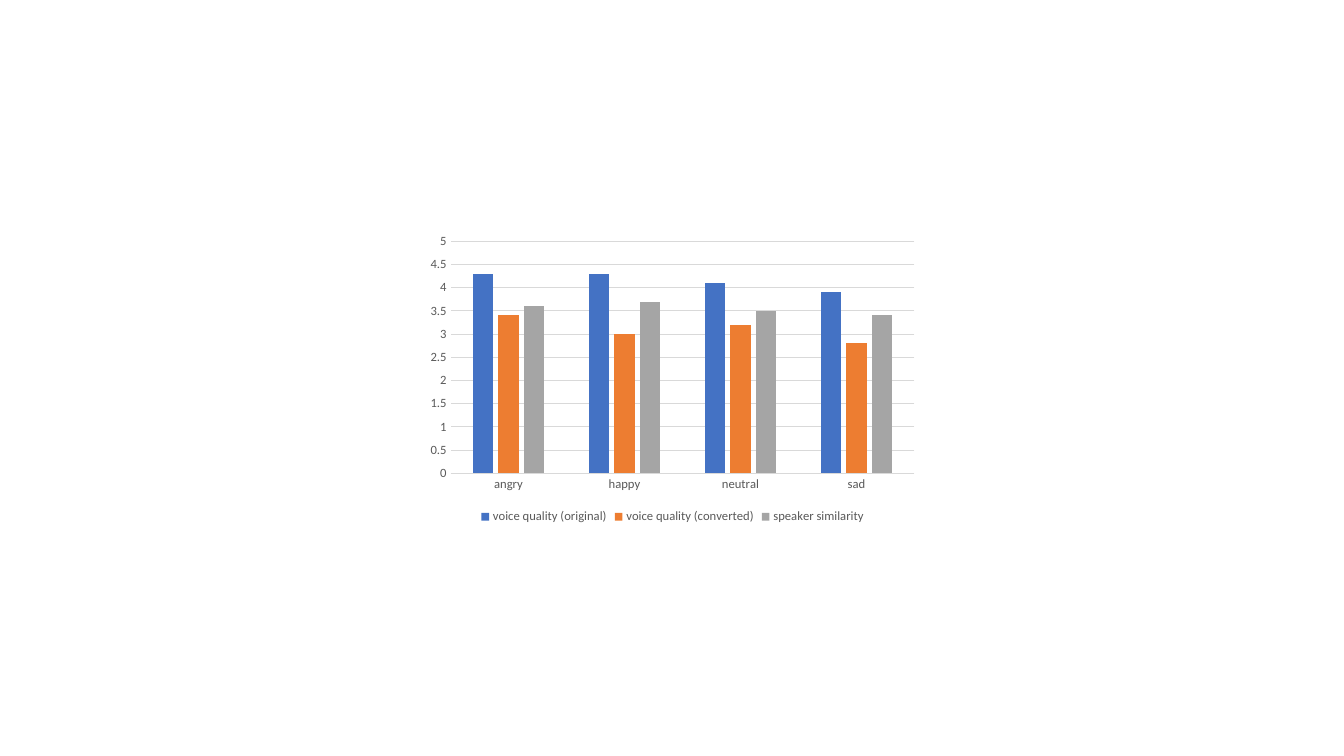
"""Build a slide with a clustered column chart of voice ratings by emotion."""
from pptx import Presentation
from pptx.chart.data import CategoryChartData
from pptx.dml.color import RGBColor
from pptx.enum.chart import XL_CHART_TYPE, XL_LEGEND_POSITION, XL_TICK_MARK
from pptx.util import Inches, Pt

EMOTIONS = ["angry", "happy", "neutral", "sad"]
RATINGS = [
    ("voice quality (original)", "blue", (4.3, 4.3, 4.1, 3.9)),
    ("voice quality (converted)", "orange", (3.4, 3, 3.2, 2.8)),
    ("speaker similarity", "gray", (3.6, 3.7, 3.5, 3.4)),
]
COLORS = {
    "blue": "4472C4",
    "orange": "ED7D31",
    "gray": "A5A5A5",
    "label": "595959",
    "grid": "D9D9D9",
}


def color(name):
    return RGBColor.from_string(COLORS[name])


def style_font(font):
    font.name = "Calibri"
    font.size = Pt(9)
    font.color.rgb = color("label")


def style_line(line):
    line.color.rgb = color("grid")
    line.width = Pt(0.75)


def add_ratings(slide):
    ratings = CategoryChartData(number_format="General")
    ratings.categories = EMOTIONS
    for name, _, scores in RATINGS:
        ratings.add_series(name, scores)
    chart = slide.shapes.add_chart(
        XL_CHART_TYPE.COLUMN_CLUSTERED,
        Inches(4.17), Inches(2.26), Inches(5), Inches(2.98), ratings,
    ).chart
    chart.has_title = False
    style_font(chart.font)

    columns = chart.plots[0]
    columns.gap_width = 219
    columns.overlap = -27
    columns.vary_by_categories = False
    for series, (_, fill_name, _) in zip(columns.series, RATINGS):
        series.invert_if_negative = False
        series.format.fill.solid()
        series.format.fill.fore_color.rgb = color(fill_name)

    emotions, scale = chart.category_axis, chart.value_axis
    for axis in (emotions, scale):
        axis.major_tick_mark = axis.minor_tick_mark = XL_TICK_MARK.NONE
        style_font(axis.tick_labels.font)
    style_line(emotions.format.line)
    scale.format.line.fill.background()
    scale.minimum_scale, scale.maximum_scale, scale.major_unit = 0, 5, 0.5
    style_line(scale.major_gridlines.format.line)

    chart.has_legend = True
    chart.legend.position = XL_LEGEND_POSITION.BOTTOM
    chart.legend.include_in_layout = False
    style_font(chart.legend.font)


def main():
    presentation = Presentation()
    presentation.slide_width = Inches(13.33)
    presentation.slide_height = Inches(7.5)
    add_ratings(presentation.slides.add_slide(presentation.slide_layouts[6]))
    presentation.save("out.pptx")


if __name__ == "__main__":
    main()
